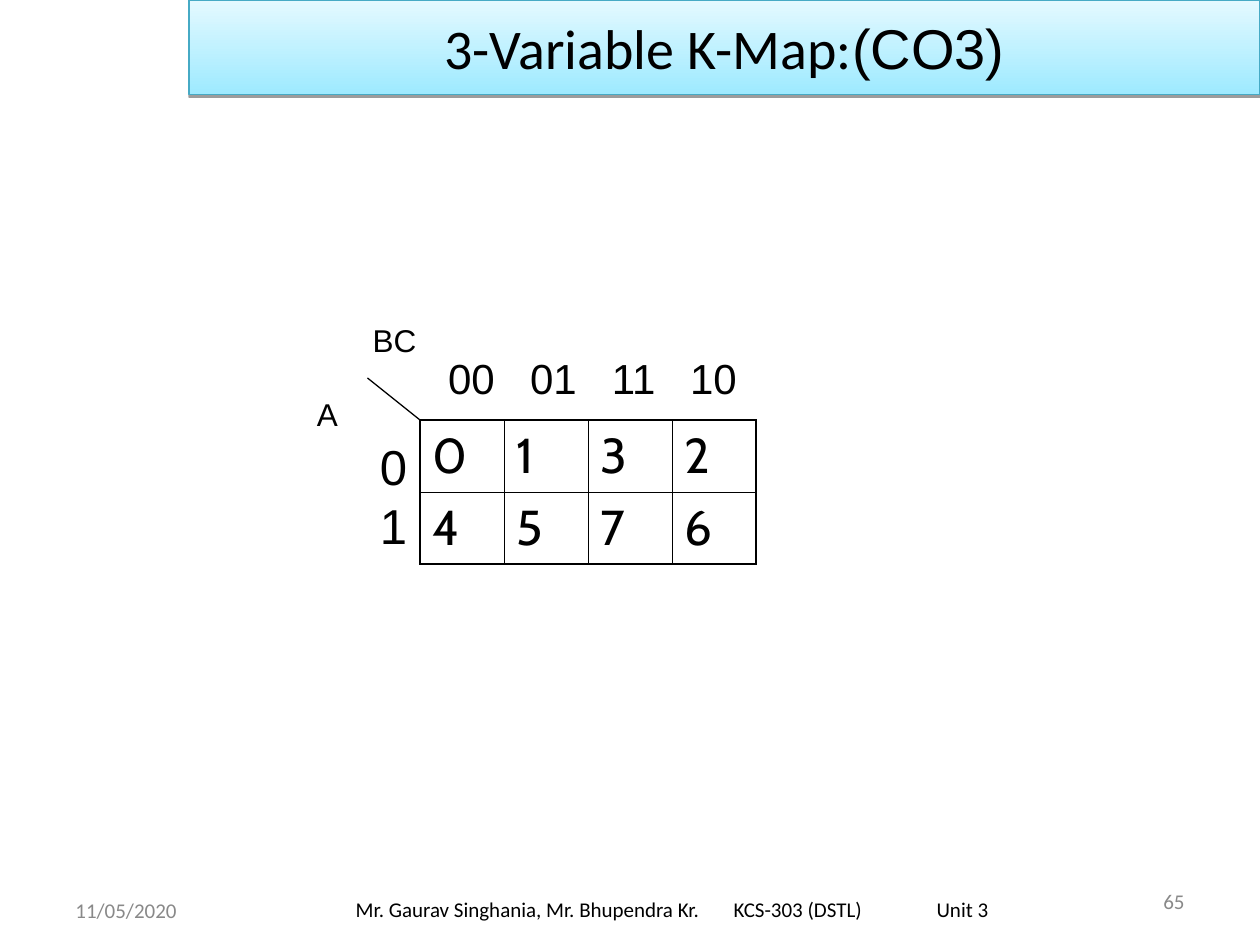
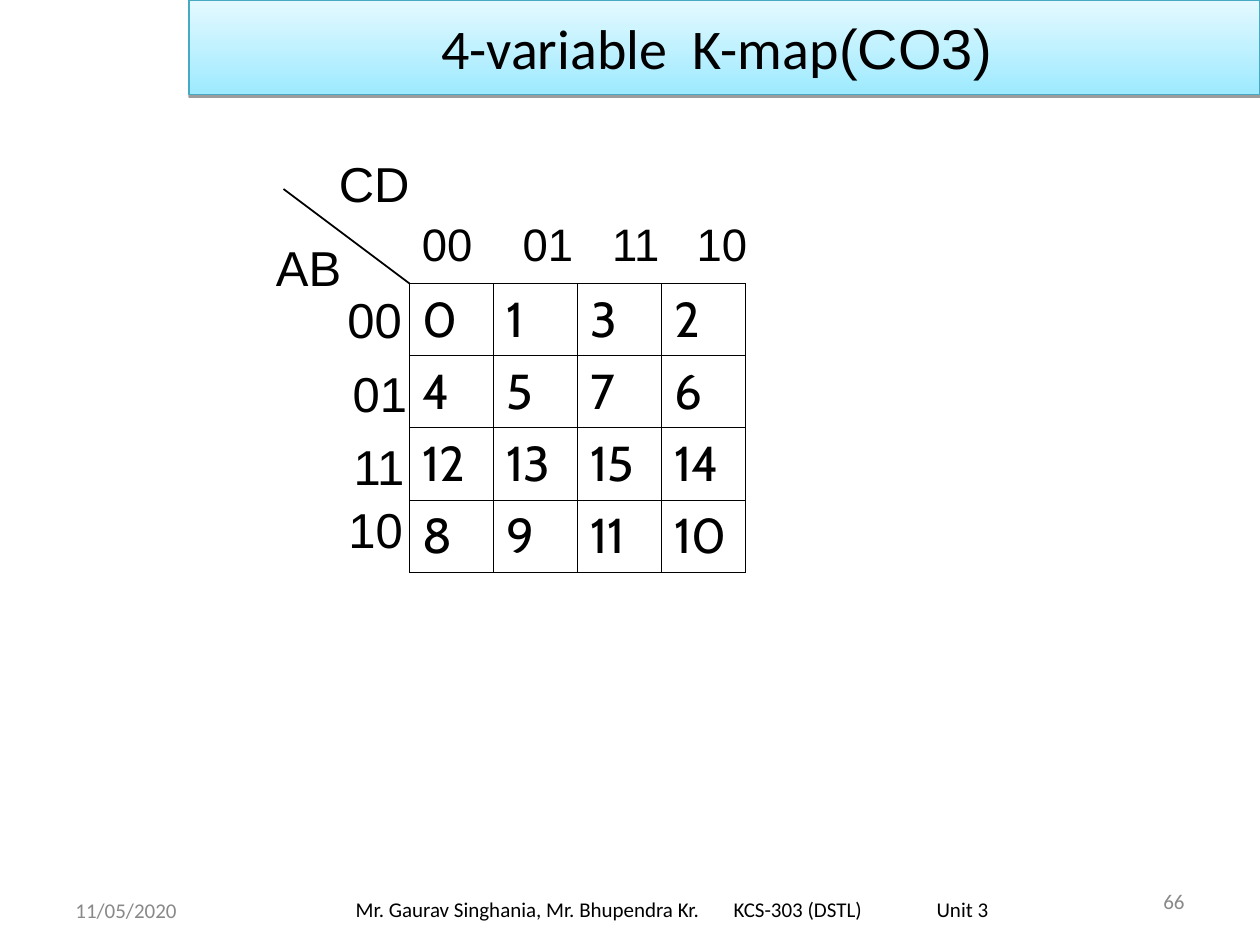
from lxml.etree import SubElement
from pptx import Presentation
from pptx.dml.color import RGBColor
from pptx.enum.shapes import MSO_CONNECTOR
from pptx.enum.text import MSO_ANCHOR, MSO_AUTO_SIZE, PP_ALIGN
from pptx.oxml.ns import qn
from pptx.util import Inches, Pt

BLACK, GREY = "000000", "898989"
BAND_TOP, BAND_BOTTOM, BAND_EDGE = "E4F9FF", "9EEAFF", "46AAC5"
THIN, THICK = 0.45, 1.08


def colour(value):
    """Turn a hex string into a colour."""
    return RGBColor.from_string(value)


def grid(*counts):
    """Turn grid counts, twelve to the inch, into lengths."""
    return [Inches(count / 12) for count in counts]


class KMapDeck:
    """Hold the shared style and the current slide, and draw its elements."""

    def __init__(self):
        """Start an empty deck on a grid of 120 columns by 90 rows."""
        self.deck = Presentation()
        self.deck.slide_width, self.deck.slide_height = grid(120, 90)
        self.page = None

    def new_page(self, title, suffix, number):
        """Add a slide with its title band and footers."""
        self.page = self.deck.slides.add_slide(self.deck.slide_layouts[5])
        self.title_band(title, suffix)
        self.footer("11/05/2020", 6, 84.25, 28, GREY)
        self.footer(number, 86, 83.4, 28, GREY, PP_ALIGN.RIGHT)
        course = self.footer(
            "Mr. Gaurav Singhania, Mr. Bhupendra Kr.\tKCS-303 (DSTL)\tUnit 3",
            31, 84.2, 66, BLACK)
        course.text_frame.margin_left = Inches(0.24)
        self.tabs(course.text_frame.paragraphs[0], [3, 4.61])

    def style(self, span, size, font, ink=BLACK):
        """Set the font of a run."""
        span.font.size, span.font.name, span.font.bold = Pt(size), font, False
        span.font.color.rgb = colour(ink)

    def tabs(self, para, stops):
        """Give a paragraph left tab stops, in inches."""
        tab_list = SubElement(para._p.get_or_add_pPr(), qn("a:tabLst"))
        for stop in stops:
            SubElement(tab_list, qn("a:tab"), pos=str(Inches(stop)), algn="l")

    def title_band(self, title, suffix):
        """Turn the title placeholder into the gradient band."""
        band = self.page.shapes.title
        band.left, band.top, band.width, band.height = grid(18, 0, 102, 9)
        band.fill.gradient()
        band.fill.gradient_angle = 270
        for stop, tint in zip(band.fill.gradient_stops, (BAND_TOP, BAND_BOTTOM)):
            stop.color.rgb = colour(tint)
        band.line.color.rgb = colour(BAND_EDGE)
        band.line.width = Pt(0.75)
        effects = SubElement(band._element.spPr, qn("a:effectLst"))
        shadow = SubElement(effects, qn("a:outerShdw"), blurRad="0",
                            dist=str(Pt(1.6)), dir="5400000", rotWithShape="0")
        ink = SubElement(shadow, qn("a:srgbClr"), val=BLACK)
        SubElement(ink, qn("a:alpha"), val="38000")
        frame = band.text_frame
        frame.auto_size = MSO_AUTO_SIZE.NONE
        frame.vertical_anchor = MSO_ANCHOR.MIDDLE
        para = frame.paragraphs[0]
        para.text = title
        para.alignment = PP_ALIGN.CENTER
        para.add_run().text = suffix
        for span, font in zip(para.runs, ("Calibri", "Arial")):
            self.style(span, 32, font)

    def text(self, words, place, size, font="Arial", ink=BLACK, wrap=False):
        """Add a text box at a grid place; one that does not wrap fits its text."""
        box = self.page.shapes.add_textbox(*grid(*place))
        frame = box.text_frame
        frame.word_wrap = wrap
        frame.auto_size = (MSO_AUTO_SIZE.NONE if wrap
                           else MSO_AUTO_SIZE.SHAPE_TO_FIT_TEXT)
        frame.text = words
        for para in frame.paragraphs:
            for span in para.runs:
                self.style(span, size, font, ink)
        return box

    def footer(self, words, left, top, width, ink, align=PP_ALIGN.LEFT):
        """Add one of the footer texts."""
        box = self.text(words, (left, top, width, 4.8), 12, "Calibri", ink, True)
        box.text_frame.vertical_anchor = MSO_ANCHOR.MIDDLE
        box.text_frame.paragraphs[0].alignment = align
        return box

    def column_codes(self, place, size, stops):
        """Add the column codes above the map on tab stops."""
        box = self.text("00\t01\t11\t10", place, size, wrap=True)
        self.tabs(box.text_frame.paragraphs[0], stops)

    def diagonal(self, start, end, weight):
        """Draw the line that parts the two variable names."""
        line = self.page.shapes.add_connector(
            MSO_CONNECTOR.STRAIGHT, *grid(*start, *end))
        line.line.color.rgb = colour(BLACK)
        line.line.width = Pt(weight)
        SubElement(line._element.spPr, qn("a:effectLst"))

    def border(self, cell, side, weight):
        """Draw one border of a cell."""
        line = SubElement(cell._tc.get_or_add_tcPr(), qn("a:ln" + side),
                          w=str(Pt(weight)))
        SubElement(SubElement(line, qn("a:solidFill")), qn("a:srgbClr"), val=BLACK)

    def k_map(self, left, top, values, frame_weight):
        """Add the table of minterm numbers."""
        rows, columns = len(values), len(values[0])
        table = self.page.shapes.add_table(
            rows, columns, *grid(left, top, 8 * columns, 6.8 * rows)).table
        table.first_row = table.horz_banding = False
        for r, row in enumerate(values):
            for c, value in enumerate(row):
                cell = table.cell(r, c)
                cell.text_frame.text = str(value)
                self.style(cell.text_frame.paragraphs[0].runs[0], 28, "Cabin")
                outer = {"L": c == 0, "R": c == columns - 1,
                         "T": r == 0, "B": r == rows - 1}
                for side, on_edge in outer.items():
                    self.border(cell, side, frame_weight if on_edge else THIN)
                cell.fill.background()


def main():
    """Build both slides and save the deck."""
    maps = KMapDeck()
    values = [[0, 1, 3, 2], [4, 5, 7, 6], [12, 13, 15, 14], [8, 9, 11, 10]]

    maps.new_page("3-Variable K-Map:", "(CO3)", "65")
    maps.k_map(40, 40, values[:2], THICK)
    maps.column_codes((41.5, 33, 30.1, 6), 24, [0.65, 1.3, 1.92])
    maps.text("0\n1", (35, 41, 4.9, 12.5), 28)
    maps.text("BC", (34.3, 30, 6.6, 4.8), 18)
    maps.diagonal((35, 36), (40, 40), 0.75)
    maps.text("A", (29, 37, 4.3, 4.8), 18)

    maps.new_page("4-variable  K-map", "(CO3) ", "66")
    maps.k_map(39, 27, values, THIN)
    maps.column_codes((39, 20, 33.7, 6.5), 26, [0.8, 1.51, 2.18])
    row_codes = [("00", 31.9, 27), ("01", 32.4, 34), ("11", 32.5, 41), ("10", 32, 47)]
    for code, left, top in row_codes:
        maps.text(code, (left, top, 7.6, 6.8), 28)
    maps.diagonal((27, 18), (39, 27), 1)
    maps.text("CD", (31.1, 14, 9.1, 6.8), 28)
    maps.text("AB", (25.1, 22, 8.6, 6.8), 28)

    maps.deck.save("out.pptx")


if __name__ == "__main__":
    main()
